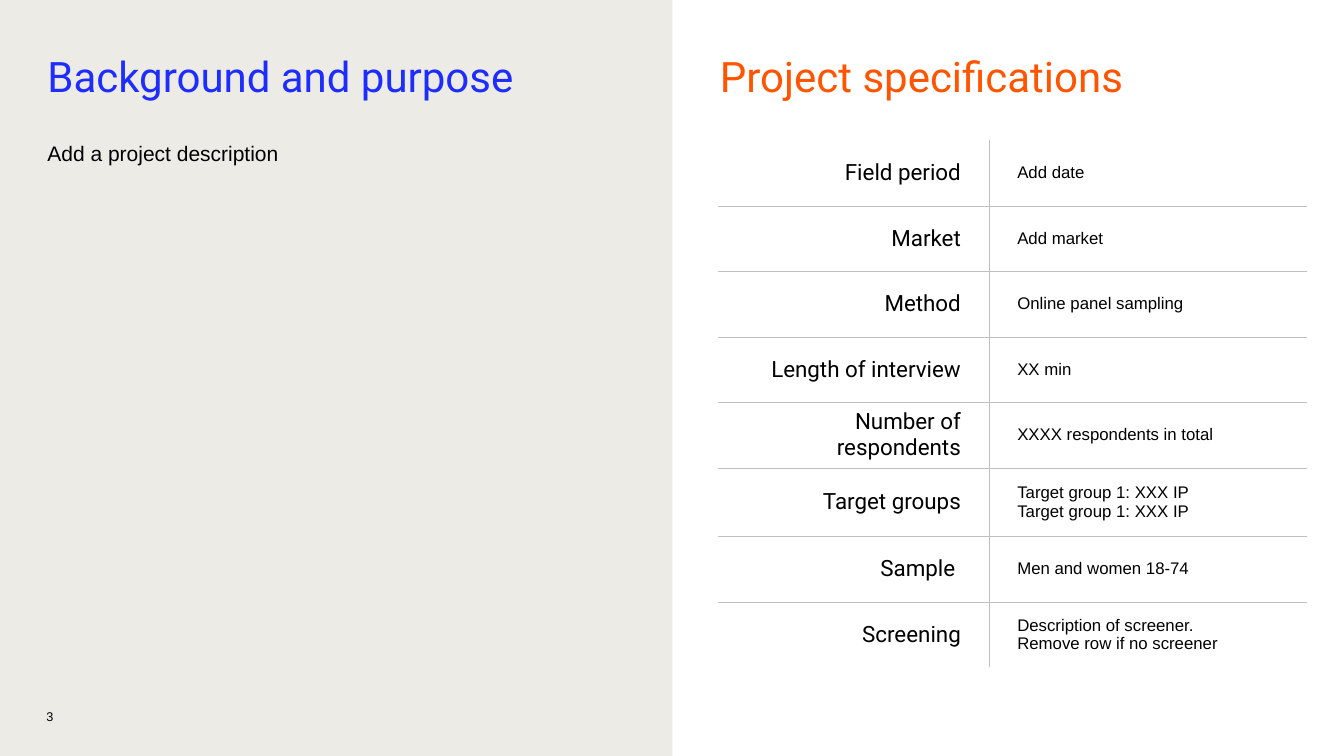
from dataclasses import dataclass

import lxml.etree
import pptx
import pptx.dml.color
import pptx.enum.shapes
import pptx.enum.text
import pptx.oxml.ns
import pptx.util

Inches = pptx.util.Inches
Align = pptx.enum.text.PP_ALIGN
Anchor = pptx.enum.text.MSO_ANCHOR

COLORS = {
    "panel": "EDEBE5",
    "background": "1D2DFF",
    "specifications": "FF5400",
    "text": "000000",
    "rule": "BFBFBF",
}
PANEL_WIDTH = 6.67
ROW_HEIGHT = 0.65
TALL_ROW_HEIGHT = 0.68
COLUMN_WIDTHS = (2.68, 3.15)
RULE_WIDTH = 0.25


@dataclass(frozen=True)
class TextStyle:
    font: str
    size: float
    color: str = "text"
    align: Align = Align.LEFT
    line_spacing: float = 1.0
    space_after: float = 0


@dataclass(frozen=True)
class TextBlock:
    text: str
    left: float
    top: float
    width: float
    height: float
    style: TextStyle


@dataclass(frozen=True)
class Specification:
    label: str
    value: str
    height: float = ROW_HEIGHT


LABEL_STYLE = TextStyle("Roboto", 16, align=Align.RIGHT)
VALUE_STYLE = TextStyle("Arial", 12)

BACKGROUND_HEADING = TextBlock(
    "Background and purpose", 0.47, 0.56, 5.73, 0.48,
    TextStyle("Roboto", 30, "background", line_spacing=0.9))
DESCRIPTION = TextBlock(
    "Add a project description", 0.47, 1.39, 5.73, 5.21,
    TextStyle("Arial", 15, space_after=10))
SPECIFICATIONS_HEADING = TextBlock(
    "Project specifications", 7.14, 0.56, 5.73, 0.48,
    TextStyle("Roboto", 30, "specifications", line_spacing=0.9))
PAGE_NUMBER = TextBlock("3", 0.46, 7.03, 0.71, 0.2, TextStyle("Arial", 9))

SPECIFICATIONS = [
    Specification("Field period", "Add date"),
    Specification("Market", "Add market"),
    Specification("Method", "Online panel sampling"),
    Specification("Length of interview", "XX min"),
    Specification("Number of respondents", "XXXX respondents in total"),
    Specification("Target groups", "Target group 1: XXX IP\nTarget group 1: XXX IP",
                  TALL_ROW_HEIGHT),
    Specification("Sample ", "Men and women 18-74"),
    Specification("Screening", "Description of screener. \vRemove row if no screener"),
]


def rgb(name: str) -> pptx.dml.color.RGBColor:
    """Return the named colour."""
    return pptx.dml.color.RGBColor.from_string(COLORS[name])


def write_text(frame: pptx.text.text.TextFrame, text: str, style: TextStyle) -> None:
    """Write styled paragraphs into a text frame."""
    frame.text = text
    frame.word_wrap = True
    for paragraph in frame.paragraphs:
        paragraph.alignment = style.align
        paragraph.line_spacing = style.line_spacing
        paragraph.space_before = pptx.util.Pt(0)
        paragraph.space_after = pptx.util.Pt(style.space_after)
        paragraph.font.name = style.font
        paragraph.font.size = pptx.util.Pt(style.size)
        paragraph.font.bold = False
        paragraph.font.color.rgb = rgb(style.color)


def fill_block(shape: pptx.shapes.autoshape.Shape, block: TextBlock) -> None:
    """Place a text shape and write its text without insets."""
    shape.left, shape.top = Inches(block.left), Inches(block.top)
    shape.width, shape.height = Inches(block.width), Inches(block.height)
    frame = shape.text_frame
    frame.margin_left = frame.margin_right = frame.margin_top = frame.margin_bottom = 0
    frame.auto_size = pptx.enum.text.MSO_AUTO_SIZE.NONE
    frame.vertical_anchor = Anchor.TOP
    write_text(frame, block.text, block.style)


def draw_panel(slide: pptx.slide.Slide, height: int) -> None:
    """Draw the tinted left half behind everything else."""
    panel = slide.shapes.add_shape(
        pptx.enum.shapes.MSO_SHAPE.RECTANGLE, 0, 0, Inches(PANEL_WIDTH), height)
    panel.shadow.inherit = False
    panel.fill.solid()
    panel.fill.fore_color.rgb = rgb("panel")
    panel.line.fill.background()
    slide.shapes.element.insert(2, panel.element)


def rule_cell(cell: pptx.table._Cell, sides: str) -> None:
    """Draw thin rules on the given sides (L, R, T, B, in that order)."""
    qn = pptx.oxml.ns.qn
    properties = cell._tc.get_or_add_tcPr()
    for position, side in enumerate(sides):
        line = lxml.etree.Element(qn(f"a:ln{side}"), w=str(pptx.util.Pt(RULE_WIDTH)))
        fill = lxml.etree.SubElement(line, qn("a:solidFill"))
        lxml.etree.SubElement(fill, qn("a:srgbClr"), val=COLORS["rule"])
        properties.insert(position, line)


def draw_specifications(slide: pptx.slide.Slide) -> None:
    """Draw the specification table with inner rules only."""
    table = slide.shapes.add_table(
        len(SPECIFICATIONS), len(COLUMN_WIDTHS), Inches(7.13), Inches(1.39),
        Inches(sum(COLUMN_WIDTHS)),
        Inches(sum(row.height for row in SPECIFICATIONS))).table
    table.first_row = table.horz_banding = False
    for column, width in zip(table.columns, COLUMN_WIDTHS):
        column.width = Inches(width)
    last = len(SPECIFICATIONS) - 1
    for index, specification in enumerate(SPECIFICATIONS):
        table.rows[index].height = Inches(specification.height)
        horizontal = ("T" if index > 0 else "") + ("B" if index < last else "")
        columns = (
            (specification.label, LABEL_STYLE, "R", 0.1, 0.28),
            (specification.value, VALUE_STYLE, "L", 0.28, 0.1),
        )
        for cell, (text, style, side, left, right) in zip(table.rows[index].cells, columns):
            cell.margin_left, cell.margin_right = Inches(left), Inches(right)
            cell.vertical_anchor = Anchor.MIDDLE
            cell.fill.background()
            write_text(cell.text_frame, text, style)
            rule_cell(cell, side + horizontal)


def main() -> None:
    """Build and save the project overview slide."""
    presentation = pptx.Presentation()
    presentation.slide_width, presentation.slide_height = Inches(13.33), Inches(7.5)
    comparison = presentation.slide_layouts.get_by_name("Comparison")
    slide = presentation.slides.add_slide(comparison)
    blocks = {0: BACKGROUND_HEADING, 1: DESCRIPTION, 3: SPECIFICATIONS_HEADING}
    for placeholder in list(slide.placeholders):
        block = blocks.get(placeholder.placeholder_format.idx)
        if block:
            fill_block(placeholder, block)
        else:
            placeholder.element.getparent().remove(placeholder.element)
    draw_panel(slide, presentation.slide_height)
    fill_block(slide.shapes.add_textbox(0, 0, 0, 0), PAGE_NUMBER)
    draw_specifications(slide)
    presentation.save("out.pptx")


if __name__ == "__main__":
    main()
